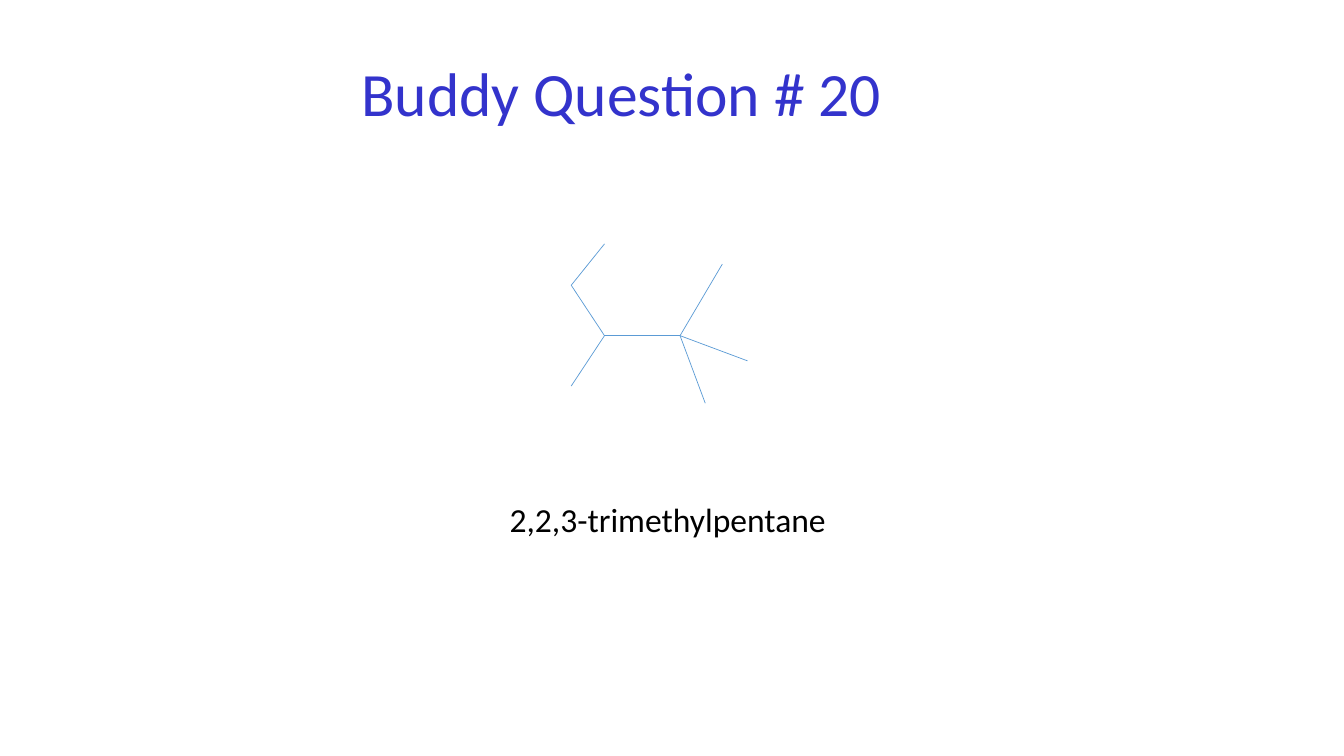
from pptx import Presentation
from pptx.dml.color import RGBColor
from pptx.enum.shapes import MSO_CONNECTOR
from pptx.enum.text import MSO_AUTO_SIZE, PP_ALIGN
from pptx.oxml.ns import qn
from pptx.util import Inches, Pt
from lxml import etree

TITLE_BLUE = RGBColor(0x33, 0x33, 0xCC)
BOND_BLUE = RGBColor(0x5B, 0x9B, 0xD5)
BLACK = RGBColor(0, 0, 0)

ATOMS = {
    "C1": (7.17, 2.62),
    "C2": (6.75, 3.33),
    "C3": (6, 3.33),
    "C4": (5.67, 2.83),
    "C5": (6, 2.42),
    "methyl 2a": (7, 4),
    "methyl 2b": (7.42, 3.58),
    "methyl 3": (5.67, 3.83),
}
BONDS = [
    ("C4", "C3"),
    ("C3", "methyl 3"),
    ("C4", "C5"),
    ("C3", "C2"),
    ("C2", "methyl 2a"),
    ("C2", "C1"),
    ("C2", "methyl 2b"),
]


def add_text(page, text, left, top, width, height, size, color, align, wrap=True):
    box = page.shapes.add_textbox(*map(Inches, (left, top, width, height)))
    frame = box.text_frame
    frame.word_wrap = wrap
    frame.auto_size = MSO_AUTO_SIZE.NONE if wrap else MSO_AUTO_SIZE.SHAPE_TO_FIT_TEXT
    para = frame.paragraphs[0]
    para.text = text
    para.alignment = align
    para.font.name = "Calibri"
    para.font.size = Pt(size)
    para.font.color.rgb = color


def add_bond(page, start, end):
    bond = page.shapes.add_connector(
        MSO_CONNECTOR.STRAIGHT, *map(Inches, ATOMS[start] + ATOMS[end])
    )
    bond.line.color.rgb = BOND_BLUE
    bond.line.width = Pt(0.5)
    etree.SubElement(bond._element.spPr, qn("a:effectLst"))


def main():
    deck = Presentation()
    deck.slide_width = Inches(13.34)
    deck.slide_height = Inches(7.5)
    page = deck.slides.add_slide(deck.slide_layouts[6])
    add_text(page, "Buddy Question # 20", 1.92, 0.5, 8.5, 1.25,
             44, TITLE_BLUE, PP_ALIGN.CENTER)
    for start, end in BONDS:
        add_bond(page, start, end)
    add_text(page, "2,2,3-trimethylpentane", 4.96, 4.9, 3.35, 0.5,
             24, BLACK, PP_ALIGN.LEFT, wrap=False)
    deck.save("out.pptx")


if __name__ == "__main__":
    main()
